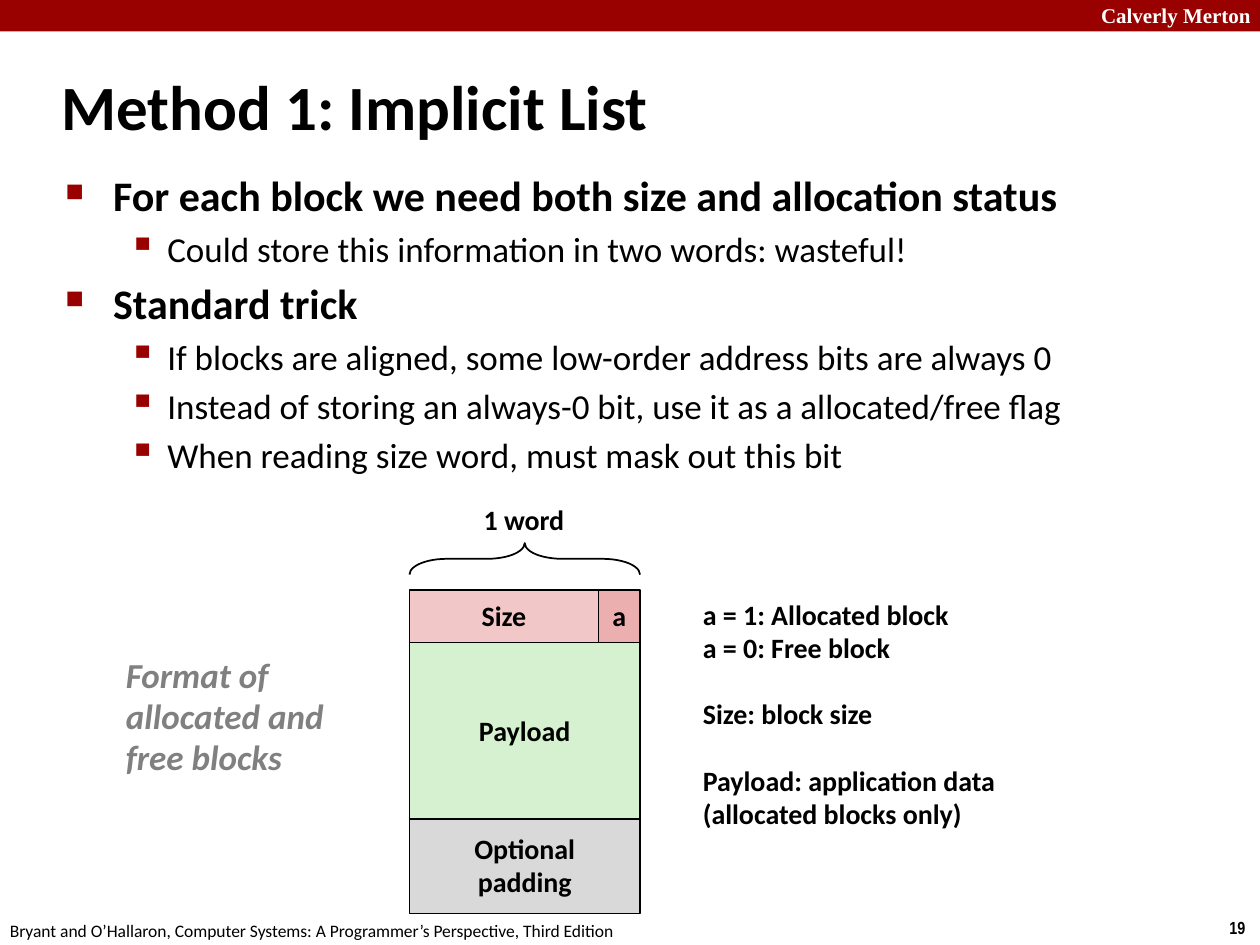
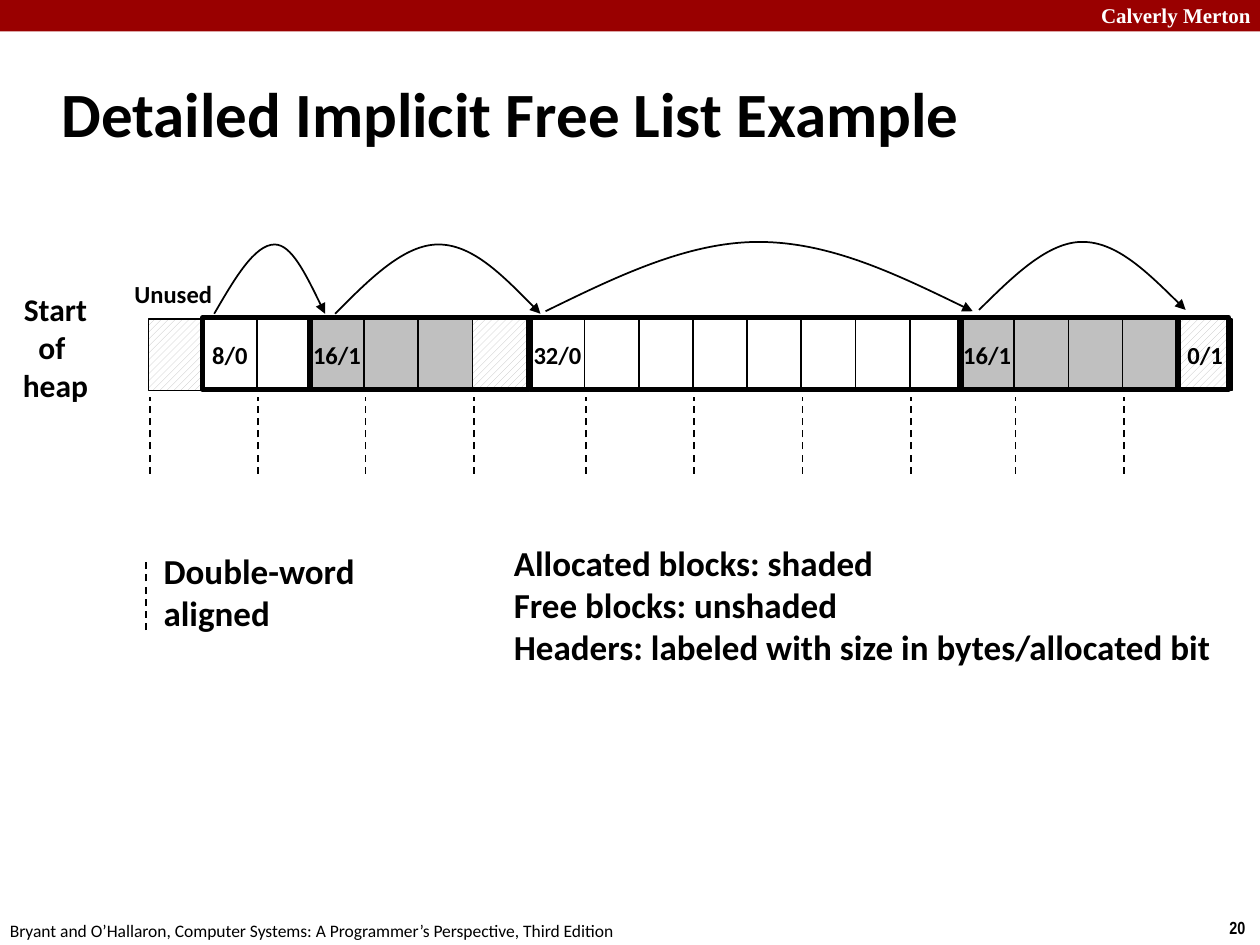
from dataclasses import dataclass
from typing import Any, Optional

from lxml import etree
from pptx import Presentation
from pptx.dml.color import RGBColor
from pptx.enum.dml import MSO_LINE, MSO_PATTERN
from pptx.enum.shapes import MSO_CONNECTOR, MSO_SHAPE
from pptx.enum.text import MSO_ANCHOR, MSO_AUTO_SIZE, PP_ALIGN
from pptx.oxml.ns import qn
from pptx.util import Inches, Pt


@dataclass(frozen=True)
class Theme:
    band: str = "990000"
    ink: str = "000000"
    paper: str = "FFFFFF"
    muted: str = "808080"
    size_field: str = "F1C7C7"
    flag_field: str = "EBAFAF"
    payload: str = "D5F1CF"
    padding: str = "D9D9D9"
    allocated: str = "C0C0C0"
    font: str = "Calibri"
    brand_font: str = "Times New Roman"
    number_font: str = "Arial Narrow"
    title_size: int = 36
    topic_size: int = 24
    point_size: int = 20
    caption_size: int = 18
    label_size: int = 16
    word_size: int = 14
    brand_size: int = 12
    footer_size: int = 10
    thin: float = 1
    thick: float = 3


THEME = Theme()


@dataclass(frozen=True)
class Box:
    left: float
    top: float
    width: float
    height: float

    def lengths(self) -> tuple:
        return tuple(Inches(value) for value in (self.left, self.top, self.width, self.height))


@dataclass(frozen=True)
class Style:
    size: int
    color: str = THEME.ink
    font: str = THEME.font
    bold: bool = True
    italic: bool = False
    align: Any = PP_ALIGN.LEFT
    anchor: Any = MSO_ANCHOR.TOP
    spacing: float = 1.0
    wrap: bool = False


@dataclass(frozen=True)
class Bullet:
    character: str
    percent: int
    margin: float
    hanging: float
    style: Style


@dataclass(frozen=True)
class Field:
    text: str
    box: Box
    fill: str


@dataclass(frozen=True)
class Block:
    """A run of heap words; fills has one letter a word: f free, a allocated, u unused."""
    left: float
    fills: str
    header: str = ""
    outline_width: Optional[float] = None


@dataclass(frozen=True)
class Hop:
    start: float
    peak: float
    end: float
    bottom: float
    top: float


TITLE = Style(THEME.title_size, anchor=MSO_ANCHOR.MIDDLE, wrap=True)
BRAND = Style(THEME.brand_size, THEME.paper, THEME.brand_font, wrap=True)
NUMBER = Style(THEME.footer_size, font=THEME.number_font)
FOOTER = Style(THEME.footer_size, bold=False)
LABEL = Style(THEME.label_size, spacing=0.98)
FIELD = Style(THEME.label_size, align=PP_ALIGN.CENTER, anchor=MSO_ANCHOR.MIDDLE, spacing=0.98)
CAPTION = Style(THEME.point_size, THEME.muted, italic=True, spacing=0.98)
START = Style(THEME.caption_size, align=PP_ALIGN.CENTER, anchor=MSO_ANCHOR.MIDDLE)
WORD = Style(THEME.word_size, align=PP_ALIGN.CENTER, anchor=MSO_ANCHOR.MIDDLE)
LEGEND = Style(THEME.point_size)
KEY = Style(THEME.point_size, anchor=MSO_ANCHOR.MIDDLE, wrap=True)

TOPIC = Bullet("■", 60, 0.38, 0.38, Style(THEME.topic_size, wrap=True))
POINT = Bullet("▪", 110, 0.81, 0.31, Style(THEME.point_size, bold=False, wrap=True))

OUTLINE = [
    (TOPIC, "For each block we need both size and allocation status"),
    (POINT, "Could store this information in two words: wasteful!"),
    (TOPIC, "Standard trick"),
    (POINT, "If blocks are aligned, some low-order address bits are always 0"),
    (POINT, "Instead of storing an always-0 bit, use it as a allocated/free flag"),
    (POINT, "When reading size word, must mask out this bit"),
]
FIELDS = [
    Field("Size", Box(3.25, 4.68, 1.5, 0.42), THEME.size_field),
    Field("Payload", Box(3.25, 5.1, 1.83, 1.41), THEME.payload),
    Field("a", Box(4.75, 4.68, 0.33, 0.42), THEME.flag_field),
    Field("Optional\npadding", Box(3.25, 6.5, 1.83, 0.75), THEME.padding),
]
BLOCKS = [
    Block(1.18, "u"),
    Block(1.61, "ff", "8/0", 0.85),
    Block(2.46, "aaau", "16/1", 1.74),
    Block(4.21, "ffffffff", "32/0", 3.42),
    Block(7.62, "aaaa", "16/1", 1.73),
    Block(9.35, "u", "0/1", 0.4),
]
HOPS = [
    Hop(1.7, 2.18, 2.58, 2.49, 1.94),
    Hop(2.66, 3.48, 4.29, 2.49, 1.94),
    Hop(4.33, 6.02, 7.72, 2.47, 1.92),
    Hop(7.77, 8.59, 9.41, 2.46, 1.92),
]
WORD_WIDTH, WORD_HEIGHT, HEAP_TOP = 0.43, 0.57, 2.53


def color(value: str) -> RGBColor:
    return RGBColor.from_string(value)


def apply_format(target: Any, values: dict) -> None:
    for name, value in values.items():
        setattr(target, name, value)


def write_paragraph(paragraph: Any, text: str, style: Style) -> None:
    run = paragraph.add_run()
    run.text = text
    apply_format(paragraph, {"alignment": style.align, "line_spacing": style.spacing})
    apply_format(run.font, {"name": style.font, "size": Pt(style.size),
                            "bold": style.bold, "italic": style.italic})
    run.font.color.rgb = color(style.color)


def write_lines(frame: Any, text: str, style: Style) -> None:
    apply_format(frame, {"word_wrap": style.wrap, "vertical_anchor": style.anchor})
    for index, line in enumerate(text.split("\n")):
        paragraph = frame.add_paragraph() if index else frame.paragraphs[0]
        write_paragraph(paragraph, line, style)


def add_text(slide: Any, text: str, box: Box, style: Style) -> Any:
    frame = slide.shapes.add_textbox(*box.lengths()).text_frame
    write_lines(frame, text, style)
    if not style.wrap:
        frame.auto_size = MSO_AUTO_SIZE.SHAPE_TO_FIT_TEXT
    return frame


def set_line(shape: Any, width: float) -> None:
    shape.line.color.rgb = color(THEME.ink)
    shape.line.width = Pt(width)


def add_box(slide: Any, box: Box, fill: Optional[str] = None,
            line_width: Optional[float] = THEME.thin, kind: Any = MSO_SHAPE.RECTANGLE) -> Any:
    shape = slide.shapes.add_shape(kind, *box.lengths())
    shape.shadow.inherit = False
    if fill:
        shape.fill.solid()
        shape.fill.fore_color.rgb = color(fill)
    else:
        shape.fill.background()
    if line_width:
        set_line(shape, line_width)
    else:
        shape.line.fill.background()
    return shape


def add_dashed_line(slide: Any, x: float, top: float, bottom: float) -> None:
    connector = slide.shapes.add_connector(
        MSO_CONNECTOR.STRAIGHT, Inches(x), Inches(bottom), Inches(x), Inches(top))
    set_line(connector, THEME.thin)
    connector.line.dash_style = MSO_LINE.DASH
    etree.SubElement(connector.element.spPr, qn("a:effectLst"))


def add_hop(slide: Any, hop: Hop) -> None:
    """Draw a curved arrow as two cubic pieces that meet at the peak."""
    middle = (hop.bottom + hop.top) / 2
    rise, fall = (hop.peak - hop.start) / 3, (hop.end - hop.peak) / 3
    controls = [
        (hop.start + rise, middle), (hop.peak - rise, hop.top), (hop.peak, hop.top),
        (hop.peak + fall, hop.top), (hop.end - fall, middle), (hop.end, hop.bottom),
    ]
    builder = slide.shapes.build_freeform(Inches(hop.start), Inches(hop.bottom))
    builder.add_line_segments([(Inches(x), Inches(y)) for x, y in controls], close=False)
    shape = builder.convert_to_shape()
    shape.shadow.inherit = False
    shape.fill.background()
    set_line(shape, THEME.thin)
    segments = list(shape.element.iter(qn("a:lnTo")))
    outline = segments[0].getparent()
    for first in range(0, len(segments), 3):
        curve = etree.SubElement(outline, qn("a:cubicBezTo"))
        for segment in segments[first:first + 3]:
            curve.append(segment[0])
            outline.remove(segment)
    line = shape.element.spPr.find(qn("a:ln"))
    etree.SubElement(line, qn("a:tailEnd"), type="triangle")


def add_bullet(paragraph: Any, bullet: Bullet) -> None:
    properties = paragraph._p.get_or_add_pPr()
    properties.set("marL", str(Inches(bullet.margin)))
    properties.set("indent", str(-Inches(bullet.hanging)))
    bullet_color = etree.SubElement(properties, qn("a:buClr"))
    etree.SubElement(bullet_color, qn("a:srgbClr"), val=THEME.band)
    etree.SubElement(properties, qn("a:buSzPct"), val=str(bullet.percent * 1000))
    etree.SubElement(properties, qn("a:buChar"), char=bullet.character)


def add_outline(slide: Any, box: Box) -> None:
    frame = slide.shapes.add_textbox(*box.lengths()).text_frame
    frame.word_wrap = True
    for index, (bullet, text) in enumerate(OUTLINE):
        paragraph = frame.add_paragraph() if index else frame.paragraphs[0]
        write_paragraph(paragraph, text, bullet.style)
        paragraph.space_before = Pt(0.2 * bullet.style.size)
        add_bullet(paragraph, bullet)


def add_base_slide(presentation: Any, number: int, title: str, title_box: Box) -> Any:
    slide = presentation.slides.add_slide(presentation.slide_layouts[6])
    add_box(slide, Box(0, 0, 10, 0.25), THEME.band, None)
    add_text(slide, "Calverly Merton", Box(8.64, -0.03, 1.43, 0.3), BRAND)
    add_text(slide, str(number), Box(9.66, 7.23, 0.34, 0.27), NUMBER)
    add_text(slide, "Bryant and O’Hallaron, Computer Systems: A Programmer’s Perspective, "
             "Third Edition", Box(-0.02, 7.25, 5.08, 0.27), FOOTER)
    add_text(slide, title, title_box, TITLE)
    return slide


def build_method_slide(presentation: Any) -> None:
    slide = add_base_slide(presentation, 19, "Method 1: Implicit List", Box(0.39, 0.52, 7.21, 0.63))
    add_outline(slide, Box(0.42, 1.3, 9.03, 2.36))
    for field in FIELDS:
        write_lines(add_box(slide, field.box, field.fill).text_frame, field.text, FIELD)
    add_text(slide, "1 word", Box(3.74, 3.95, 0.85, 0.37), LABEL)
    add_text(slide, "Format of\nallocated and\nfree blocks", Box(0.9, 5.15, 1.78, 1.09), CAPTION)
    notes = add_text(slide, "a = 1: Allocated block\na = 0: Free block\nSize: block size\n"
                     "Payload: application data\n(allocated blocks only)",
                     Box(5.48, 4.71, 2.55, 2.22), LABEL)
    for paragraph in notes.paragraphs[2:4]:
        paragraph.space_before = Pt(19)
    brace = add_box(slide, Box(4.04, 3.52, 0.25, 1.83), kind=MSO_SHAPE.RIGHT_BRACE)
    brace.rotation = 270
    brace.adjustments[0] = 1.19


def add_word(slide: Any, left: float, kind: str, header: str) -> None:
    fill = THEME.allocated if kind == "a" else THEME.paper
    shape = add_box(slide, Box(left, HEAP_TOP, WORD_WIDTH, WORD_HEIGHT), fill)
    if kind == "u":
        shape.fill.patterned()
        shape.fill.pattern = MSO_PATTERN.WIDE_UPWARD_DIAGONAL
        shape.fill.fore_color.rgb = color(THEME.allocated)
        shape.fill.back_color.rgb = color(THEME.paper)
    if header:
        write_lines(shape.text_frame, header, WORD)


def build_heap_slide(presentation: Any) -> None:
    slide = add_base_slide(presentation, 20, "Detailed Implicit Free List Example",
                           Box(0.39, 0.48, 8.3, 0.83))
    add_text(slide, "Start \nof \nheap", Box(0.08, 2.25, 0.72, 1.01), START)
    word_lefts = []
    for block in BLOCKS:
        for index, kind in enumerate(block.fills):
            left = block.left + index * WORD_WIDTH
            add_word(slide, left, kind, "" if index else block.header)
            word_lefts.append(left)
    for block in BLOCKS:
        if block.outline_width:
            add_box(slide, Box(block.left, HEAP_TOP - 0.01, block.outline_width, WORD_HEIGHT),
                    line_width=THEME.thick)
    for left in word_lefts[::2]:
        add_dashed_line(slide, left + 0.01, 3.15, 3.76)
    for hop in HOPS:
        add_hop(slide, hop)
    add_text(slide, "Unused", Box(0.92, 2.15, 0.91, 0.37), WORD)
    add_dashed_line(slide, 1.16, 4.45, 5)
    add_text(slide, "Double-word\naligned", Box(1.2, 4.31, 2.04, 0.77), KEY)
    add_text(slide, "Allocated blocks: shaded\nFree blocks: unshaded\n"
             "Headers: labeled with size in bytes/allocated bit", Box(3.98, 4.25, 5.79, 1.11), LEGEND)


def main() -> None:
    presentation = Presentation()
    apply_format(presentation, {"slide_width": Inches(10), "slide_height": Inches(7.5)})
    build_method_slide(presentation)
    build_heap_slide(presentation)
    presentation.save("out.pptx")


if __name__ == "__main__":
    main()
